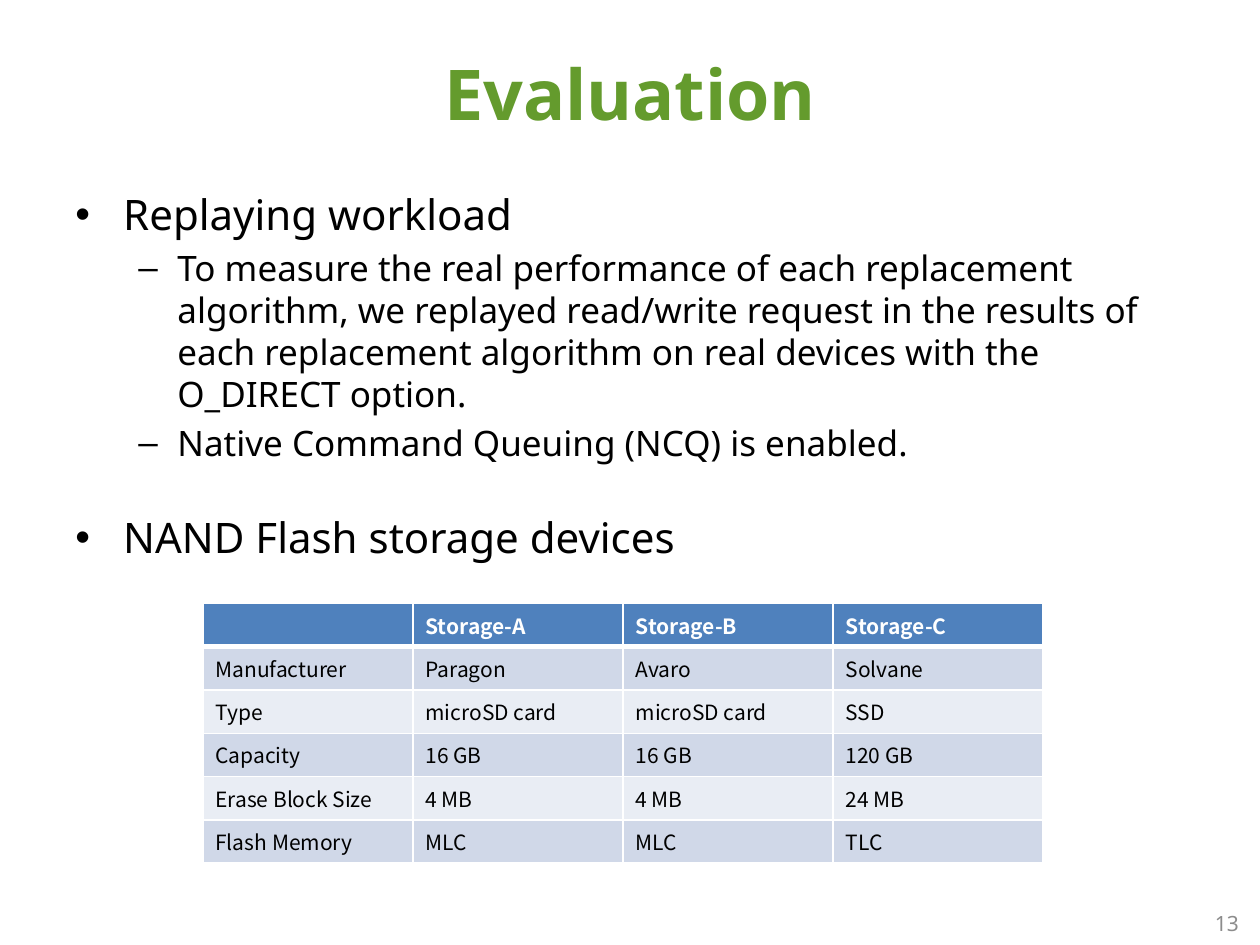
"""Build the Evaluation slide with its bullet list and storage device table."""
from lxml import etree
from pptx import Presentation
from pptx.dml.color import RGBColor
from pptx.enum import text
from pptx.oxml import ns
from pptx.util import Inches, Pt

GREEN = RGBColor(0x64, 0x9B, 0x2D)
BLACK = RGBColor(0, 0, 0)
GREY = RGBColor(0x8C, 0x8C, 0x8C)
WHITE = RGBColor(0xFF, 0xFF, 0xFF)
HEADER = RGBColor(0x4F, 0x81, 0xBD)
BANDS = RGBColor(0xE9, 0xED, 0xF4), RGBColor(0xD0, 0xD8, 0xE8)
SANS, TABLE_FONT = "Noto Sans", "Noto Sans CJK KR"

LEVELS = [
    {"size": 24, "bullet": "•", "margin": 0.38, "hang": 0.38},
    {"size": 20, "bullet": "–", "margin": 0.81, "hang": 0.31},
]
BULLETS = [
    (0, 2.4, "Replaying workload"),
    (1, 4, "To measure the real performance of each replacement algorithm, "
           "we replayed read/write request in the results of each replacement "
           "algorithm on real devices with the O_DIRECT option."),
    (1, 4, "Native Command Queuing (NCQ) is enabled."),
    (0, 27.5, "NAND Flash storage devices"),
]
DEVICES = [
    ("", "Storage-A", "Storage-B", "Storage-C"),
    ("Manufacturer", "Paragon", "Avaro", "Solvane"),
    ("Type", "microSD card", "microSD card", "SSD"),
    ("Capacity", "16 GB", "16 GB", "120 GB"),
    ("Erase Block Size", "4 MB", "4 MB", "24 MB"),
    ("Flash Memory", "MLC", "MLC", "TLC"),
]
TABLE_WIDTH, TABLE_HEIGHT = Inches(6.67), Inches(2.06)


def place(shape, left, top, width, height):
    shape.left, shape.top = Inches(left), Inches(top)
    shape.width, shape.height = Inches(width), Inches(height)


def style(para, font, size, color, bold=False):
    for span in para.runs:
        span.font.name, span.font.size = font, Pt(size)
        span.font.color.rgb, span.font.bold = color, bold
        etree.SubElement(span.font._element, ns.qn("a:ea")).set("typeface", font)


def add_bullet(para, level):
    props = para._p.get_or_add_pPr()
    props.set("marL", str(Inches(level["margin"])))
    props.set("indent", str(-Inches(level["hang"])))
    etree.SubElement(props, ns.qn("a:buFont")).set("typeface", "Arial")
    etree.SubElement(props, ns.qn("a:buChar")).set("char", level["bullet"])


def add_borders(cell, widths):
    props = cell._tc.get_or_add_tcPr()
    for index, (side, width) in enumerate(widths.items()):
        line = etree.Element(ns.qn("a:ln" + side), w=str(Pt(width)))
        fill = etree.SubElement(line, ns.qn("a:solidFill"))
        etree.SubElement(fill, ns.qn("a:srgbClr")).set("val", str(WHITE))
        props.insert(index, line)


deck = Presentation()
deck.slide_width, deck.slide_height = Inches(10), Inches(7.5)
page = deck.slides.add_slide(deck.slide_layouts[5])

title = page.shapes.title
place(title, 0.51, 0.11, 8.98, 1.25)
title.text_frame.text = "Evaluation"
title.text_frame.vertical_anchor = text.MSO_ANCHOR.MIDDLE
title.text_frame.paragraphs[0].alignment = text.PP_ALIGN.CENTER
style(title.text_frame.paragraphs[0], SANS, 40, GREEN, True)

body = page.shapes.add_textbox(Inches(0.5), Inches(1.45), Inches(9), Inches(5.59))
body.text_frame.word_wrap = True
body.text_frame.text = "\n".join(words for _, _, words in BULLETS)
for para, (depth, gap, _) in zip(body.text_frame.paragraphs, BULLETS):
    para.level = depth
    para.space_before = Pt(gap)
    add_bullet(para, LEVELS[depth])
    style(para, SANS, LEVELS[depth]["size"], BLACK)

number = page.shapes.add_textbox(Inches(7.6), Inches(7.13), Inches(2.33), Inches(0.4))
number.text_frame.word_wrap = True
number.text_frame.vertical_anchor = text.MSO_ANCHOR.MIDDLE
number.text_frame.text = "13"
number.text_frame.paragraphs[0].alignment = text.PP_ALIGN.RIGHT
style(number.text_frame.paragraphs[0], SANS, 12, GREY)

rows, columns = len(DEVICES), len(DEVICES[0])
table = page.shapes.add_table(
    rows, columns, Inches(1.61), Inches(4.79), TABLE_WIDTH, TABLE_HEIGHT).table
for column in table.columns:
    column.width = TABLE_WIDTH // columns
for r, values in enumerate(DEVICES):
    table.rows[r].height = TABLE_HEIGHT // rows
    for c, value in enumerate(values):
        cell = table.cell(r, c)
        cell.text = value
        cell.fill.solid()
        cell.fill.fore_color.rgb = BANDS[r % 2] if r else HEADER
        add_borders(cell, {"L": 1, "R": 1, "T": 3 if r == 1 else 1, "B": 1 if r else 3})
        para = cell.text_frame.paragraphs[0]
        para.font.size = Pt(12)
        style(para, TABLE_FONT, 12, BLACK if r else WHITE, r == 0)

deck.save("out.pptx")
